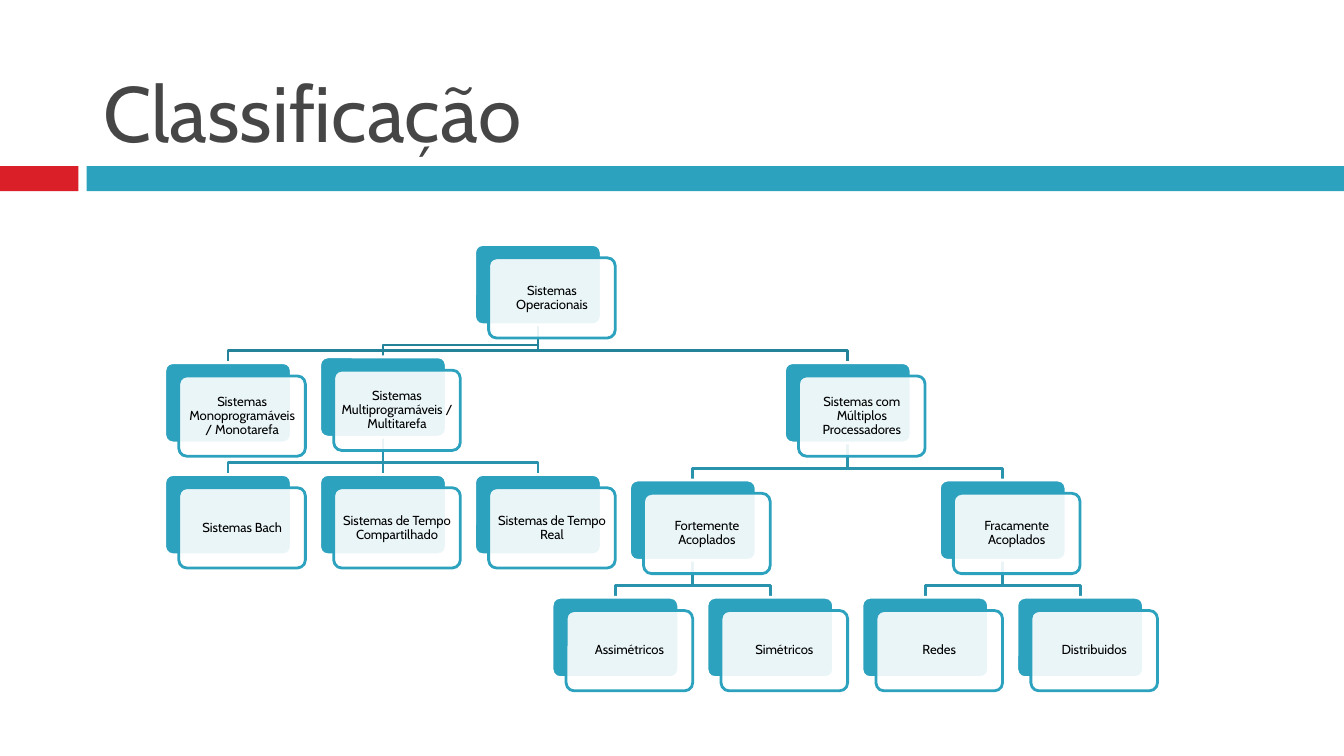
from pptx import Presentation
from pptx.dml.color import RGBColor
from pptx.enum.shapes import MSO_CONNECTOR, MSO_SHAPE
from pptx.enum.text import MSO_ANCHOR, PP_ALIGN
from pptx.oxml.ns import qn
from pptx.util import Pt
from lxml import etree

RED = RGBColor(0xDA, 0x1F, 0x28)
TEAL = RGBColor(0x2D, 0xA2, 0xBF)
ROOT_BRANCH = RGBColor(0x24, 0x82, 0x99)
LOWER_BRANCH = RGBColor(0x29, 0x93, 0xAD)
WHITE = RGBColor(0xFF, 0xFF, 0xFF)
BLACK = RGBColor(0, 0, 0)
GREY = RGBColor(0x46, 0x46, 0x46)
FONT = "Cabin"

# Tree geometry: column centres are evenly spaced
FIRST_CENTRE, COLUMN_STEP = 122.2, 83
CARD_WIDTH, CARD_HEIGHT = 67.8, 43
OFFSET_X, OFFSET_Y = 7.5, 7.1
BEND_GAP = 6.3

# Text, column, top, index of the parent
NODES = [
    ("Sistemas Operacionais", 2, 131, None),
    ("Sistemas Monoprogramáveis / Monotarefa", 0, 194.3, 0),
    ("Sistemas Multiprogramáveis / Multitarefa", 1, 191.2, 0),
    ("Sistemas Bach", 0, 254.2, 2),
    ("Sistemas de Tempo Compartilhado", 1, 254.2, 2),
    ("Sistemas de Tempo Real", 2, 254.2, 2),
    ("Sistemas com Múltiplos Processadores", 4, 194.3, 0),
    ("Fortemente Acoplados", 3, 257.2, 6),
    ("Assimétricos", 2.5, 320, 7),
    ("Simétricos", 3.5, 320, 7),
    ("Fracamente Acoplados", 5, 257.2, 6),
    ("Redes", 4.5, 320, 10),
    ("Distribuidos", 5.5, 320, 10),
]

prs = Presentation()
prs.slide_width, prs.slide_height = Pt(720), Pt(405)
slide = prs.slides.add_slide(prs.slide_layouts[5])
shapes = slide.shapes


def add_block(preset, left, top, width, height, color):
    block = shapes.add_shape(preset, Pt(left), Pt(top), Pt(width), Pt(height))
    block.shadow.inherit = False
    block.fill.solid()
    block.fill.fore_color.rgb = color
    block.line.fill.background()
    return block


def add_card(left, top, fill_color, line_color):
    card = add_block(MSO_SHAPE.ROUNDED_RECTANGLE, left, top,
                     CARD_WIDTH, CARD_HEIGHT, fill_color)
    card.adjustments[0] = 0.1
    card.line.color.rgb = line_color
    card.line.width = Pt(1.5)
    return card


# Header band
add_block(MSO_SHAPE.RECTANGLE, 0, 89, 42, 13.5, RED)
add_block(MSO_SHAPE.RECTANGLE, 46.5, 89, 673.5, 13.5, TEAL)

# Title
title = shapes.title
title.left, title.top, title.width, title.height = Pt(48), Pt(9.4), Pt(642), Pt(79)
title.text_frame.text = "Classificação"
title.text_frame.vertical_anchor = MSO_ANCHOR.BOTTOM
heading = title.text_frame.paragraphs[0]
heading.alignment = PP_ALIGN.LEFT
heading.font.name, heading.font.size = FONT, Pt(42)
heading.font.color.rgb = GREY

# Branches, behind the cards
for text, column, top, parent in NODES:
    if parent is None:
        continue
    _, parent_column, parent_top, _ = NODES[parent]
    x = Pt(FIRST_CENTRE + column * COLUMN_STEP)
    parent_x = Pt(FIRST_CENTRE + parent_column * COLUMN_STEP)
    start_y, bend_y, end_y = Pt(parent_top + CARD_HEIGHT), Pt(top - BEND_GAP), Pt(top)
    if x == parent_x:
        branch = shapes.add_connector(MSO_CONNECTOR.STRAIGHT, x, start_y, x, end_y)
        etree.SubElement(branch._element.spPr, qn("a:effectLst"))
    else:
        outline = shapes.build_freeform(parent_x, start_y)
        outline.add_line_segments([(parent_x, bend_y), (x, bend_y), (x, end_y)],
                                  close=False)
        branch = outline.convert_to_shape()
        branch.shadow.inherit = False
        branch.fill.background()
    branch.line.color.rgb = ROOT_BRANCH if parent == 0 else LOWER_BRANCH
    branch.line.width = Pt(1.5)

# Cards: a teal back and a translucent labelled front
for text, column, top, parent in NODES:
    left = FIRST_CENTRE + column * COLUMN_STEP - CARD_WIDTH / 2
    add_card(left, top, TEAL, WHITE)
    front = add_card(left + OFFSET_X, top + OFFSET_Y, WHITE, TEAL)
    white = front._element.spPr.find(qn("a:solidFill")).find(qn("a:srgbClr"))
    etree.SubElement(white, qn("a:alpha"), val="90000")

    frame = front.text_frame
    frame.word_wrap = True
    frame.vertical_anchor = MSO_ANCHOR.MIDDLE
    frame.margin_left = frame.margin_right = Pt(2)
    frame.margin_top = frame.margin_bottom = Pt(2)
    frame.text = text
    label = frame.paragraphs[0]
    label.alignment = PP_ALIGN.CENTER
    label.line_spacing = 0.9
    label.font.name, label.font.size = FONT, Pt(7)
    label.font.color.rgb = BLACK

prs.save("out.pptx")
